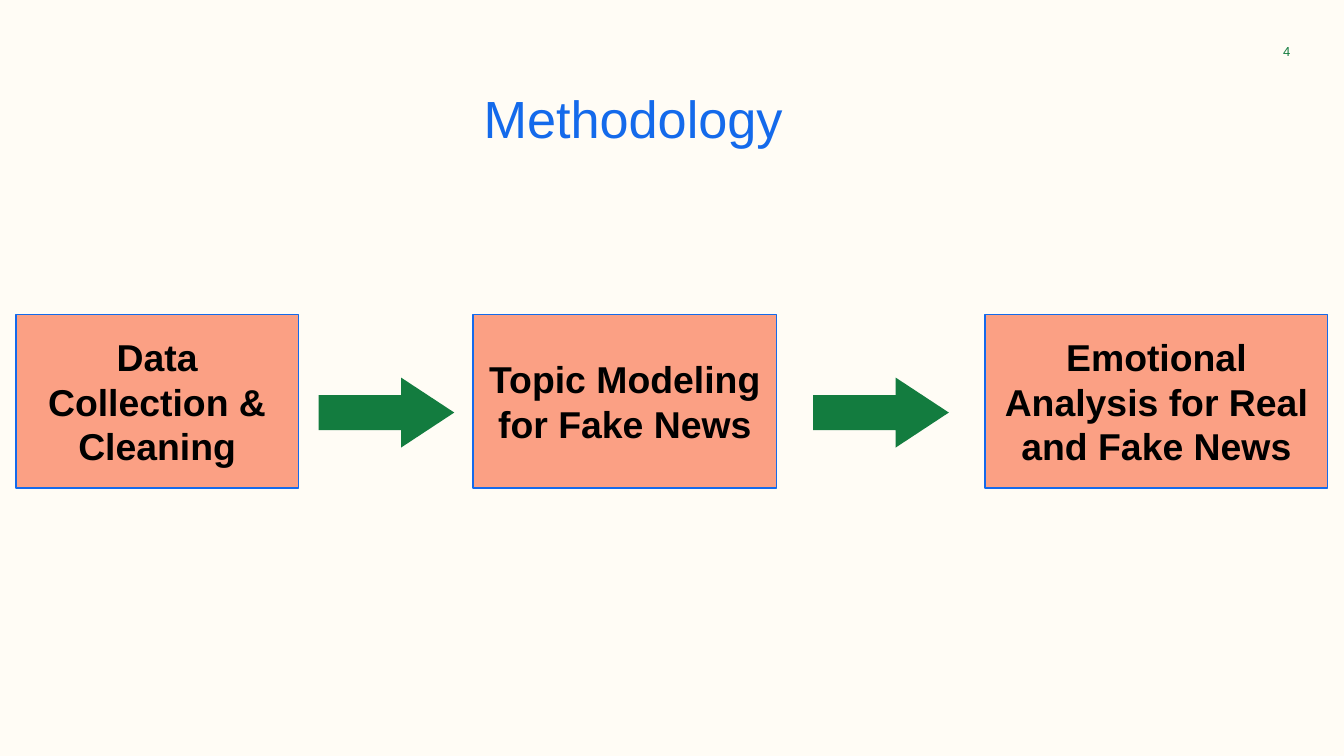
from pptx import Presentation
from pptx.dml.color import RGBColor
from pptx.enum.shapes import MSO_SHAPE
from pptx.enum.text import MSO_ANCHOR, MSO_AUTO_SIZE, PP_ALIGN
from pptx.util import Inches, Pt

CREAM = RGBColor(0xFF, 0xFC, 0xF5)
BLUE = RGBColor(0x14, 0x6A, 0xEB)
GREEN = RGBColor(0x13, 0x7C, 0x3F)
SALMON = RGBColor(0xFB, 0xA0, 0x84)
BLACK = RGBColor(0x00, 0x00, 0x00)


def write(shape, text, size, color, align, anchor, bold=False):
    frame = shape.text_frame
    frame.text = text
    frame.word_wrap = True
    frame.auto_size = MSO_AUTO_SIZE.NONE
    frame.vertical_anchor = anchor
    frame.margin_left = frame.margin_right = Inches(0.1)
    frame.margin_top = frame.margin_bottom = Inches(0.1)
    paragraph = frame.paragraphs[0]
    paragraph.alignment = align
    font = paragraph.runs[0].font
    font.name = "Arial"
    font.size = Pt(size)
    font.bold = bold
    font.color.rgb = color


# Widescreen slide, 16:9
prs = Presentation()
prs.slide_width = Inches(10)
prs.slide_height = Inches(10) * 9 // 16
slide = prs.slides.add_slide(prs.slide_layouts[6])
slide.background.fill.solid()
slide.background.fill.fore_color.rgb = CREAM

# Page number and title
page_number = slide.shapes.add_textbox(Inches(9.1), Inches(0.22), Inches(0.6), Inches(0.43))
write(page_number, "4", 7, GREEN, PP_ALIGN.RIGHT, MSO_ANCHOR.TOP)
title = slide.shapes.add_textbox(Inches(0.32), Inches(0.38), Inches(8.78), Inches(0.83))
write(title, "Methodology", 28, BLUE, PP_ALIGN.CENTER, MSO_ANCHOR.BOTTOM)

# Steps of the method
steps = [
    ("Data Collection & Cleaning", 0.12, 2.1),
    ("Topic Modeling for Fake News", 3.52, 2.26),
    ("Emotional Analysis for Real and Fake News", 7.33, 2.55),
]
for label, left, width in steps:
    step = slide.shapes.add_shape(
        MSO_SHAPE.RECTANGLE, Inches(left), Inches(2.34), Inches(width), Inches(1.29))
    step.shadow.inherit = False
    step.fill.solid()
    step.fill.fore_color.rgb = SALMON
    step.line.color.rgb = BLUE
    step.line.width = Pt(0.75)
    write(step, label, 20, BLACK, PP_ALIGN.CENTER, MSO_ANCHOR.MIDDLE, bold=True)

# Arrows between the steps
for left in (6.05, 2.37):
    arrow = slide.shapes.add_shape(
        MSO_SHAPE.RIGHT_ARROW, Inches(left), Inches(2.81), Inches(1.01), Inches(0.52))
    arrow.shadow.inherit = False
    arrow.adjustments[1] = 0.76
    arrow.fill.solid()
    arrow.fill.fore_color.rgb = GREEN
    arrow.line.fill.background()

prs.save("out.pptx")
